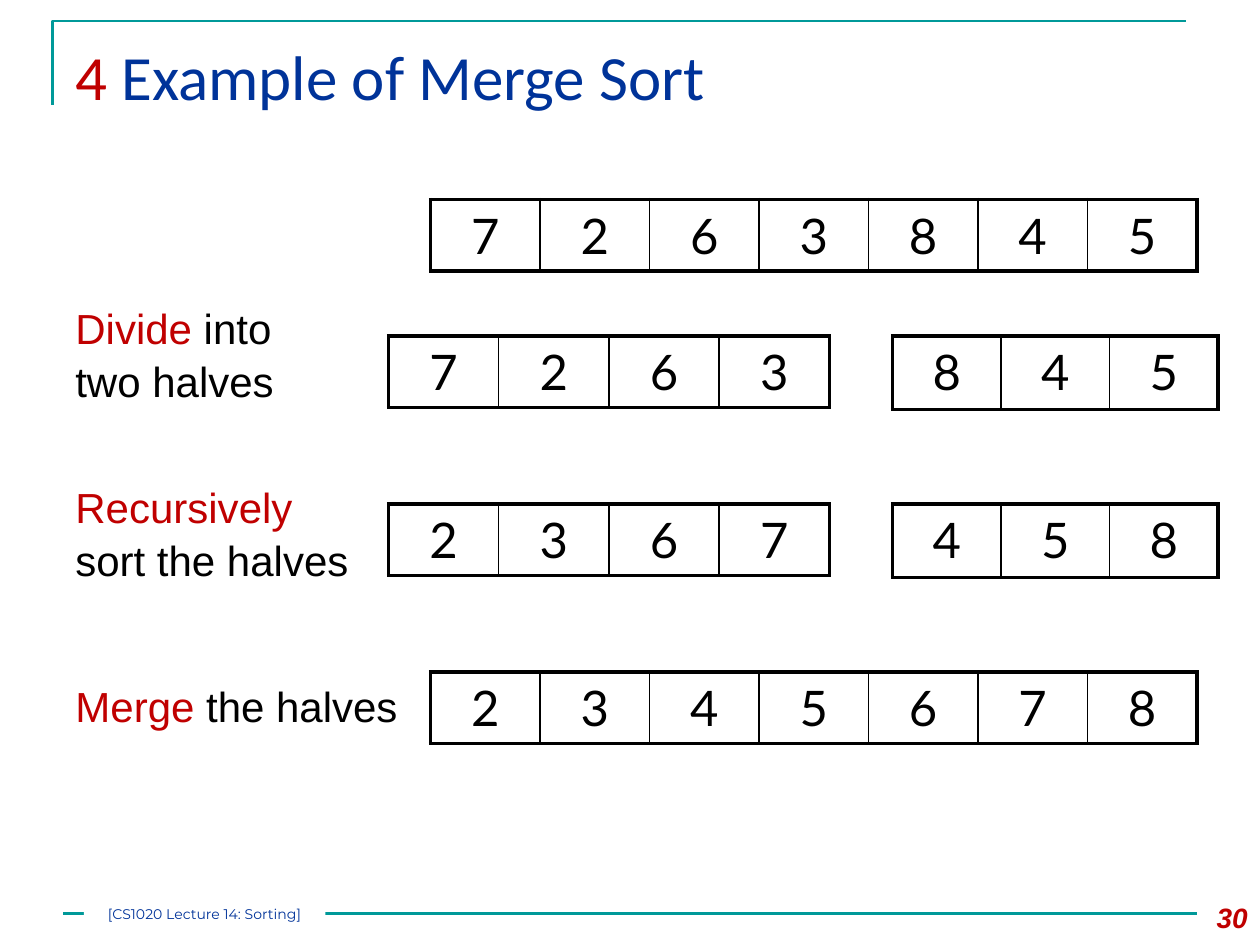
from lxml.etree import SubElement as Sub
from pptx import Presentation
from pptx.dml.color import RGBColor
from pptx.enum.shapes import MSO_CONNECTOR as Link, MSO_SHAPE as Shape
from pptx.enum.text import MSO_ANCHOR as Anchor, PP_ALIGN as Align
from pptx.oxml.ns import qn
from pptx.util import Pt


def tint(code):
    return RGBColor.from_string(code)


class Deck:
    red, blue, teal, black, white = "C00000", "003399", "009999", "000000", "FFFFFF"
    thick, thin = 2.25, 1

    def __init__(self):
        self.file = Presentation()
        self.file.slide_width, self.file.slide_height = Pt(720), Pt(540)
        self.slide = self.file.slides.add_slide(self.file.slide_layouts[6])
        self.shapes = self.slide.shapes

    def style(self, run, size, face, color):
        run.font.size, run.font.name = Pt(size), face
        run.font.color.rgb = tint(color)

    def stroke(self, shape):
        shape.line.color.rgb = tint(self.teal)
        shape.line.width = Pt(1.5)

    def corner(self, left, top, right, bottom):
        pen = self.shapes.build_freeform(Pt(left), Pt(bottom))
        pen.add_line_segments([(Pt(left), Pt(top)), (Pt(right), Pt(top))], close=False)
        shape = pen.convert_to_shape()
        shape.shadow.inherit = False
        shape.fill.background()
        self.stroke(shape)

    def rule(self, left, right, y):
        line = self.shapes.add_connector(Link.STRAIGHT, Pt(left), Pt(y), Pt(right), Pt(y))
        self.stroke(line)
        Sub(line._element.spPr, qn("a:effectLst"))

    def text(self, box, parts, size, face="Arial", wrap=True, gap=None):
        frame = self.shapes.add_textbox(*map(Pt, box)).text_frame
        frame.word_wrap = wrap
        para = frame.paragraphs[0]
        para.line_spacing = gap
        for words, color in parts:
            run = para.add_run()
            run.text = words
            self.style(run, size, face, color)
        return para

    def label(self, box, key, rest, wrap=True):
        self.text(box, [(key, self.red), (rest, self.black)], 24, wrap=wrap, gap=1.05)

    def number(self, box, words):
        para = self.text(box, [(words, self.red)], 16)
        para.alignment = Align.RIGHT
        para.runs[0].font.bold = para.runs[0].font.italic = True

    def footer(self, box, words):
        shape = self.shapes.add_shape(Shape.RECTANGLE, *map(Pt, box))
        shape.shadow.inherit = False
        shape.fill.solid()
        shape.fill.fore_color.rgb = tint(self.white)
        shape.line.fill.background()
        frame = shape.text_frame
        frame.margin_left = frame.margin_right = frame.margin_top = frame.margin_bottom = 0
        frame.vertical_anchor = Anchor.MIDDLE
        frame.text = words
        frame.paragraphs[0].alignment = Align.CENTER
        self.style(frame.paragraphs[0].runs[0], 8, "Montserrat", self.blue)

    def edge(self, cell, side, width):
        line = Sub(cell._tc.get_or_add_tcPr(), qn(f"a:ln{side}"), w=str(Pt(width)))
        fill = Sub(line, qn("a:solidFill"))
        Sub(fill, qn("a:srgbClr"), val=self.black)

    def array(self, left, top, width, height, digits):
        count = len(digits)
        table = self.shapes.add_table(
            1, count, Pt(left), Pt(top), Pt(width), Pt(height)).table
        table.first_row = table.horz_banding = False
        for i, digit in enumerate(digits):
            table.columns[i].width = Pt(width / count)
            cell = table.cell(0, i)
            self.edge(cell, "L", self.thick if i == 0 else self.thin)
            self.edge(cell, "R", self.thick if i == count - 1 else self.thin)
            self.edge(cell, "T", self.thick)
            self.edge(cell, "B", self.thick)
            cell.fill.background()
            cell.text_frame.text = digit
            para = cell.text_frame.paragraphs[0]
            para.alignment = Align.CENTER
            self.style(para.runs[0], 28, "Lato", self.black)


def main():
    deck = Deck()
    deck.corner(30, 12, 678, 60)
    deck.rule(36, 684, 522)
    deck.text((36, 18, 648, 72),
              [("4 ", deck.red), ("Example of Merge Sort", deck.blue)], 36, "Calibri")
    deck.number((672, 511, 48, 29), "30")

    for top, digits in (114, "7263845"), (384, "2345678"):
        deck.array(246, top, 438, 40.8, digits)
    for top, left, right in (192, "7263", "845"), (288, "2367", "458"):
        deck.array(222, top, 252, 40.8, left)
        deck.array(510, top, 186, 42, right)

    deck.label((36, 168, 139, 65.5), "Divide", " into two halves")
    deck.label((36, 270, 180, 65.5), "Recursively", " sort the halves")
    deck.label((36, 384, 201, 36), "Merge ", "the halves", wrap=False)
    deck.footer((48, 516, 138, 12), "[CS1020 Lecture 14: Sorting]")
    deck.file.save("out.pptx")


if __name__ == "__main__":
    main()
